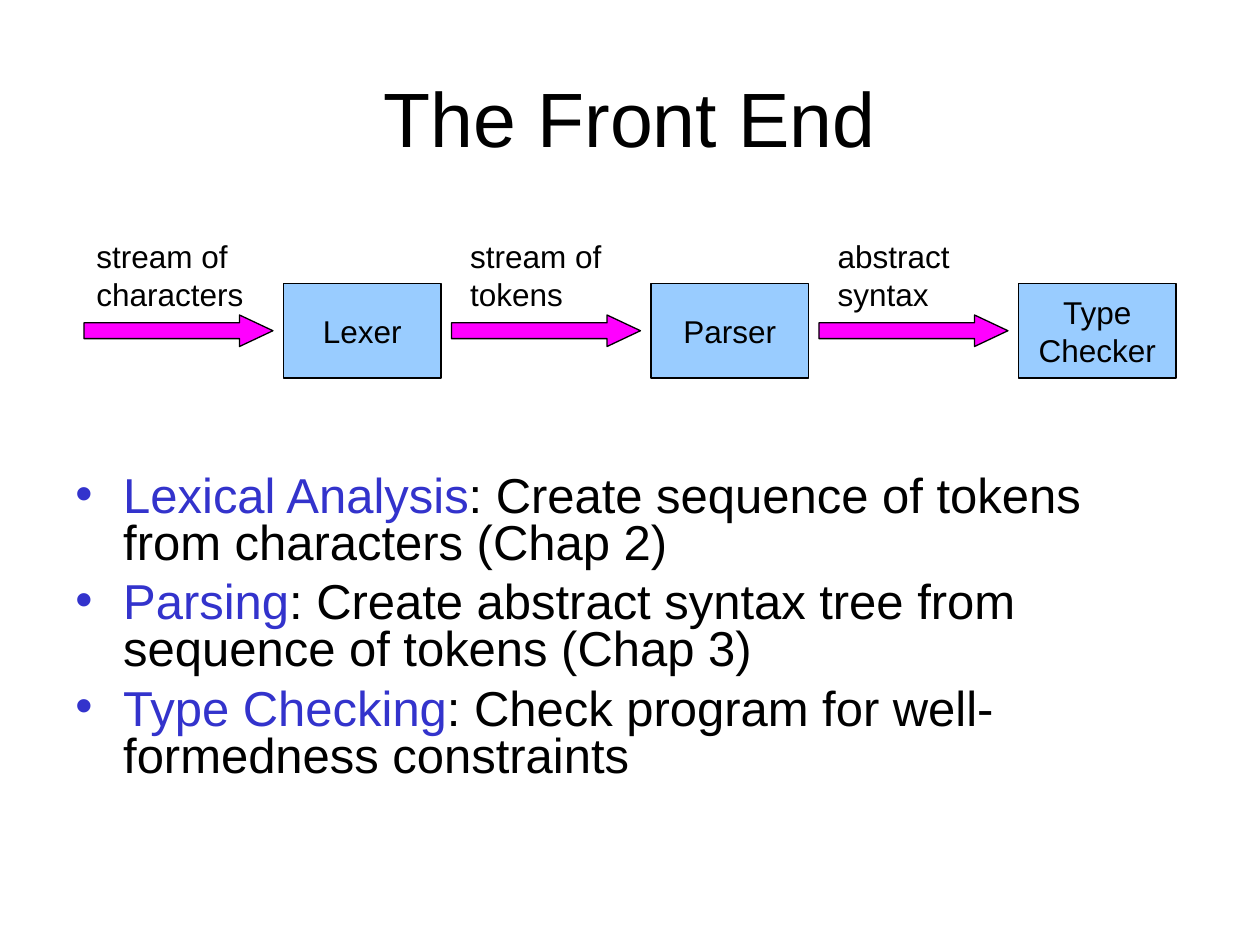
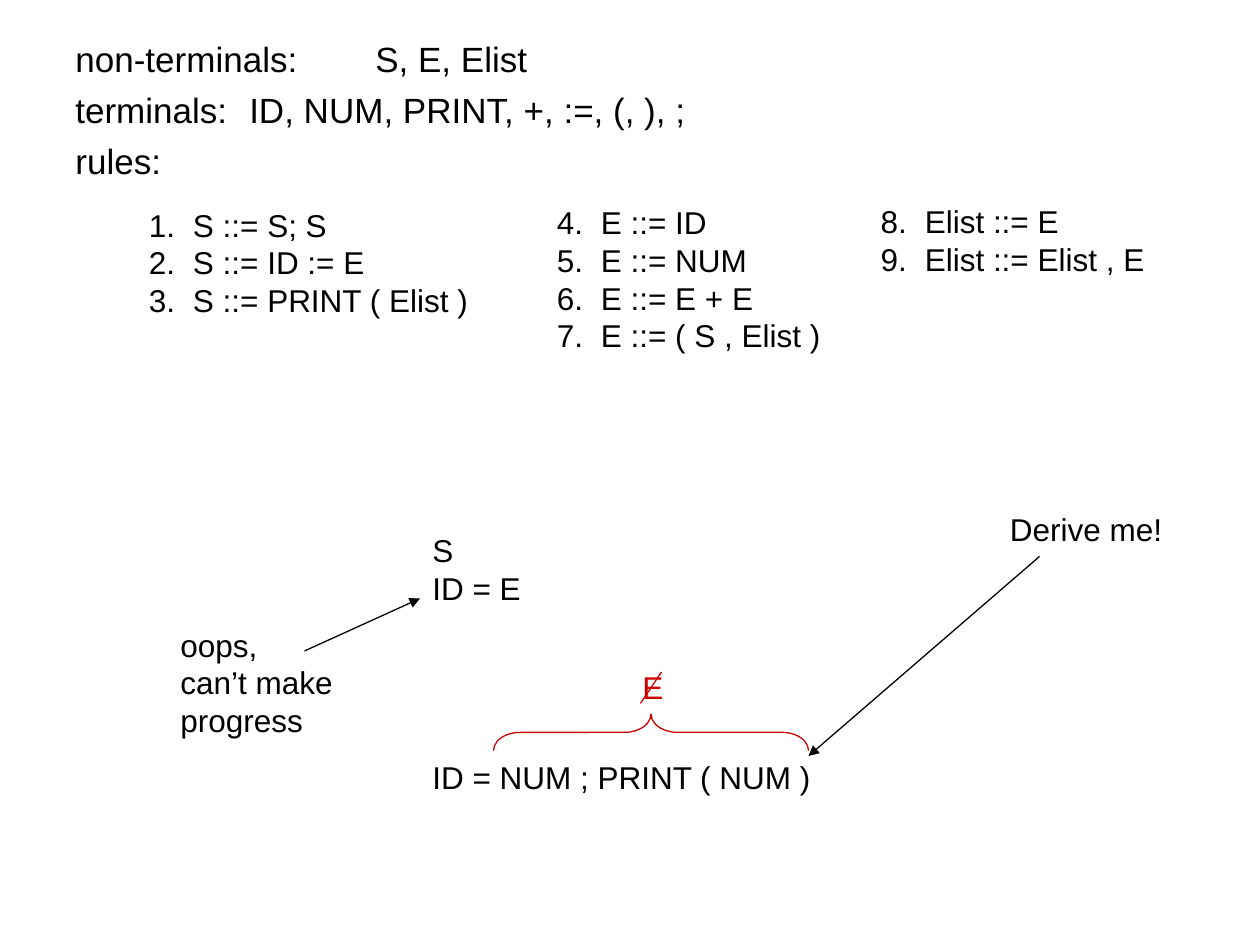
from pptx import Presentation, util as u
from pptx.dml.color import RGBColor
from pptx.enum import shapes, text
from pptx.oxml.ns import qn
from lxml import etree

# Shared look and grid: square cells, 120 columns by 90 rows
FONT, BLACK, BLUE, RED = "Arial", "000000", "3333CC", "CC0000"
SKY, PINK = "99CCFF", "FF00FF"
COLS, ROWS = 120, 90
prs = Presentation()
prs.slide_width, prs.slide_height = u.Inches(10), u.Inches(7.5)
CELL = prs.slide_width / COLS


def g(*cells):
    return [u.Emu(round(c * CELL)) for c in cells]


def rgb(color):
    return RGBColor.from_string(color)


def add_run(p, words, size, color=BLACK):
    r = p.add_run()
    r.text = words
    r.font.name, r.font.size, r.font.color.rgb = FONT, u.Pt(size), rgb(color)


def ppr_child(p, tag, **attrs):
    return etree.SubElement(p._p.get_or_add_pPr(), qn(tag), **attrs)


def hang(p, inches):
    p._p.get_or_add_pPr().set("marL", str(u.Inches(inches)))
    p._p.get_or_add_pPr().set("indent", str(-u.Inches(inches)))


def paragraphs(tf, count):
    return [tf.paragraphs[0]] + [tf.add_paragraph() for _ in range(count - 1)]


def write(tf, lines, size=18, color=BLACK, align=text.PP_ALIGN.LEFT):
    for p, line in zip(paragraphs(tf, len(lines)), lines):
        p.alignment = align
        add_run(p, line, size, color)


def text_frame(s, *box):
    tf = s.shapes.add_textbox(*g(*box)).text_frame
    tf.word_wrap = True
    return tf


def add_shape(s, kind, box, fill=None, line=BLACK):
    sp = s.shapes.add_shape(kind, *g(*box))
    sp.shadow.inherit = False
    if fill:
        sp.fill.solid()
        sp.fill.fore_color.rgb = rgb(fill)
    else:
        sp.fill.background()
    sp.line.color.rgb, sp.line.width = rgb(line), u.Pt(0.75)
    return sp


def add_line(s, start, end, color=BLACK, arrow=True):
    c = s.shapes.add_connector(shapes.MSO_CONNECTOR.STRAIGHT, *g(*start, *end))
    c.line.color.rgb, c.line.width = rgb(color), u.Pt(0.75)
    if arrow:
        etree.SubElement(c.line._get_or_add_ln(), qn("a:tailEnd"), type="triangle")
    etree.SubElement(c._element.spPr, qn("a:effectLst"))


def add_title(s, words):
    sp = s.shapes.title
    sp.left, sp.top, sp.width, sp.height = g(6, 3.6, 108, 15)
    tf = sp.text_frame
    tf.vertical_anchor = text.MSO_ANCHOR.MIDDLE
    tf.paragraphs[0].alignment = text.PP_ALIGN.CENTER
    add_run(tf.paragraphs[0], words, 44)


def pipeline(s, x, y, stages, pitch=35):
    """Each stage: input label over an arrow that leads into a box."""
    for i, (label, shift, name) in enumerate(stages):
        left = x + i * pitch
        box = add_shape(s, shapes.MSO_SHAPE.RECTANGLE, (left + 19, y + 5, 15, 9), SKY)
        box.text_frame.vertical_anchor = text.MSO_ANCHOR.MIDDLE
        write(box.text_frame, name, align=text.PP_ALIGN.CENTER)
        arrow = add_shape(s, shapes.MSO_SHAPE.RIGHT_ARROW, (left, y + 8, 18, 3), PINK)
        arrow.adjustments[1] = 1.06
        write(text_frame(s, left + shift, y, 18, 8.4), label)


def phase_bullets(s, box, phases):
    tf = text_frame(s, *box)
    for i, (p, (term, meaning)) in enumerate(zip(paragraphs(tf, len(phases)), phases)):
        hang(p, 0.38)
        p.line_spacing = 0.8
        p.space_before = u.Pt(7 if i else 0)
        color = ppr_child(p, "a:buClr")
        etree.SubElement(color, qn("a:srgbClr"), val=BLUE)
        ppr_child(p, "a:buFont", typeface=FONT)
        ppr_child(p, "a:buChar", char="•")
        add_run(p, term, 28, BLUE)
        add_run(p, ": " + meaning, 28)


def grammar_summary(s, box, lines):
    tf = text_frame(s, *box)
    for i, (p, line) in enumerate(zip(paragraphs(tf, len(lines)), lines)):
        hang(p, 0.38)
        p.space_before = u.Pt(5 if i else 0)
        p._p.get_or_add_pPr().set("defTabSz", str(u.Inches(1)))
        add_run(p, line, 20)


def rule_columns(s, columns):
    number = 1
    for box, rules in columns:
        tf = text_frame(s, *box)
        for p, rule in zip(paragraphs(tf, len(rules)), rules):
            hang(p, 0.35)
            ppr_child(p, "a:buFont", typeface=FONT)
            ppr_child(p, "a:buAutoNum", type="arabicPeriod", startAt=str(number))
            add_run(p, rule, 18)
        number += len(rules)


def derivation(s, x, y):
    # Derived lines and the sentence to reach
    write(text_frame(s, x, y, 14, 8.4), ["S", "ID = E"])
    write(text_frame(s, x, y + 21.65, 42, 4.8), ["ID = NUM ; PRINT ( NUM )"])
    # Remarks with arrows
    write(text_frame(s, x + 55, y - 2, 19, 4.8), ["Derive me!"])
    add_line(s, (x + 59, y + 3), (x + 37, y + 22))
    write(text_frame(s, x - 24, y + 9, 19, 12), ["oops,", "can’t make", "progress"])
    add_line(s, (x - 11, y + 12), (x, y + 7))
    # Brace under the crossed-out E
    brace = add_shape(s, shapes.MSO_SHAPE.LEFT_BRACE, (x + 20.25, y + 4.75, 3.5, 30), line=RED)
    brace.rotation = 90
    brace.adjustments[0] = 0.72
    write(text_frame(s, x + 20, y + 13, 6, 4.8), ["E"], color=RED)
    add_line(s, (x + 23, y + 14), (x + 21, y + 17), RED, arrow=False)


def front_end_slide():
    s = prs.slides.add_slide(prs.slide_layouts[5])
    add_title(s, "The Front End")
    phase_bullets(s, (6, 44.7, 108, 35.7), [
        ("Lexical Analysis", "Create sequence of tokens from characters (Chap 2)"),
        ("Parsing", "Create abstract syntax tree from sequence of tokens (Chap 3)"),
        ("Type Checking", "Check program for well-formedness constraints"),
    ])
    pipeline(s, 8, 22, [
        (["stream of", "characters"], 0, ["Lexer"]),
        (["stream of", "tokens"], 0.6, ["Parser"]),
        (["abstract", "syntax"], 0.6, ["Type", "Checker"]),
    ])


def grammar_slide():
    s = prs.slides.add_slide(prs.slide_layouts[6])
    grammar_summary(s, (6, 3, 111, 15), [
        "non-terminals:\tS, E, Elist",
        "terminals:\tID, NUM, PRINT, +, :=, (, ), ;",
        "rules:",
    ])
    rule_columns(s, [
        ((13, 19, 35, 12), ["S ::= S; S", "S ::= ID := E", "S ::= PRINT ( Elist )"]),
        ((51.85, 18.75, 30, 19.2),
         ["E ::= ID", "E ::= NUM", "E ::= E + E", "E ::= ( S , Elist )"]),
        ((82.7, 18.65, 30, 8.4), ["Elist ::= E", "Elist ::= Elist , E"]),
    ])
    derivation(s, 40, 50)


if __name__ == "__main__":
    front_end_slide()
    grammar_slide()
    prs.save("out.pptx")
